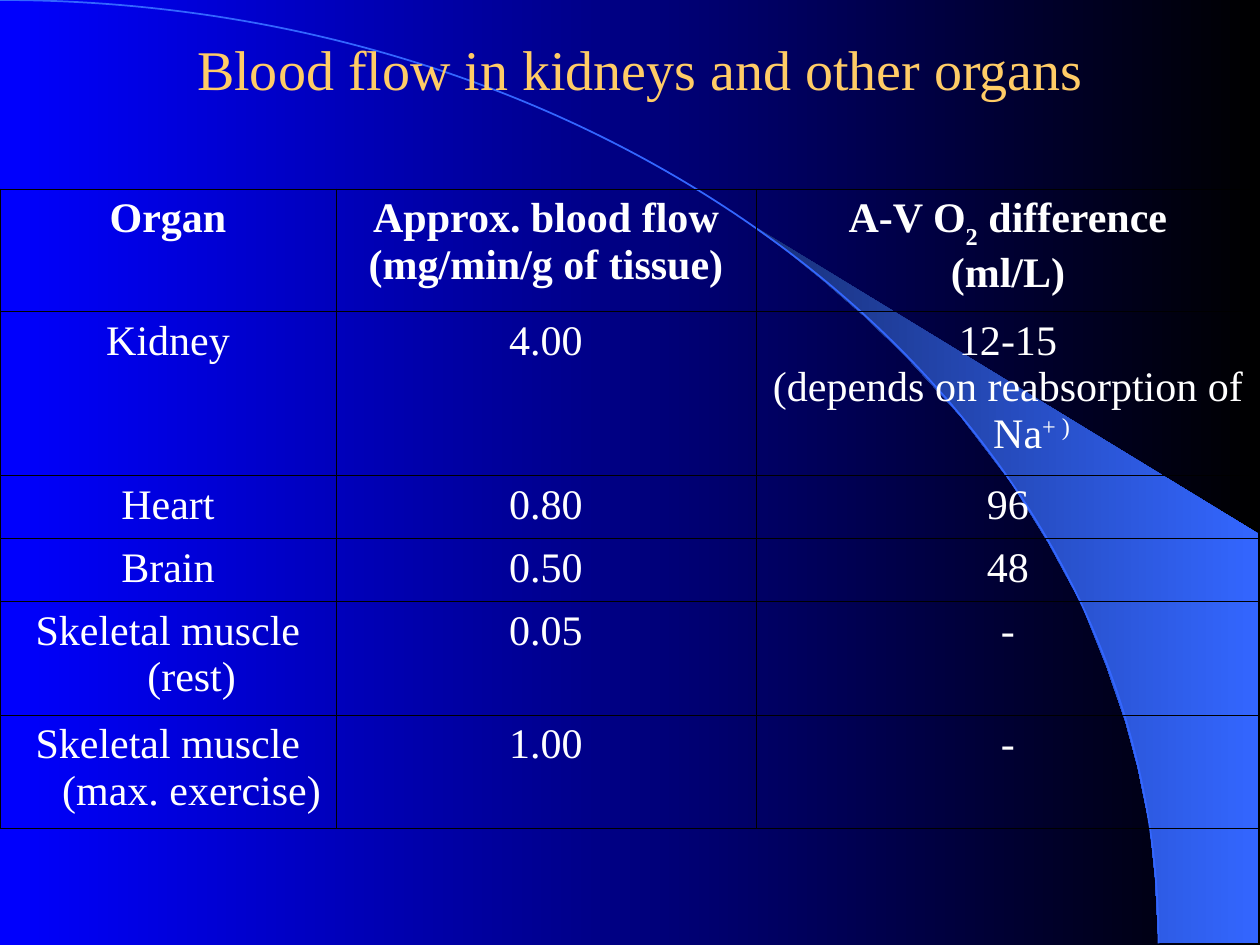
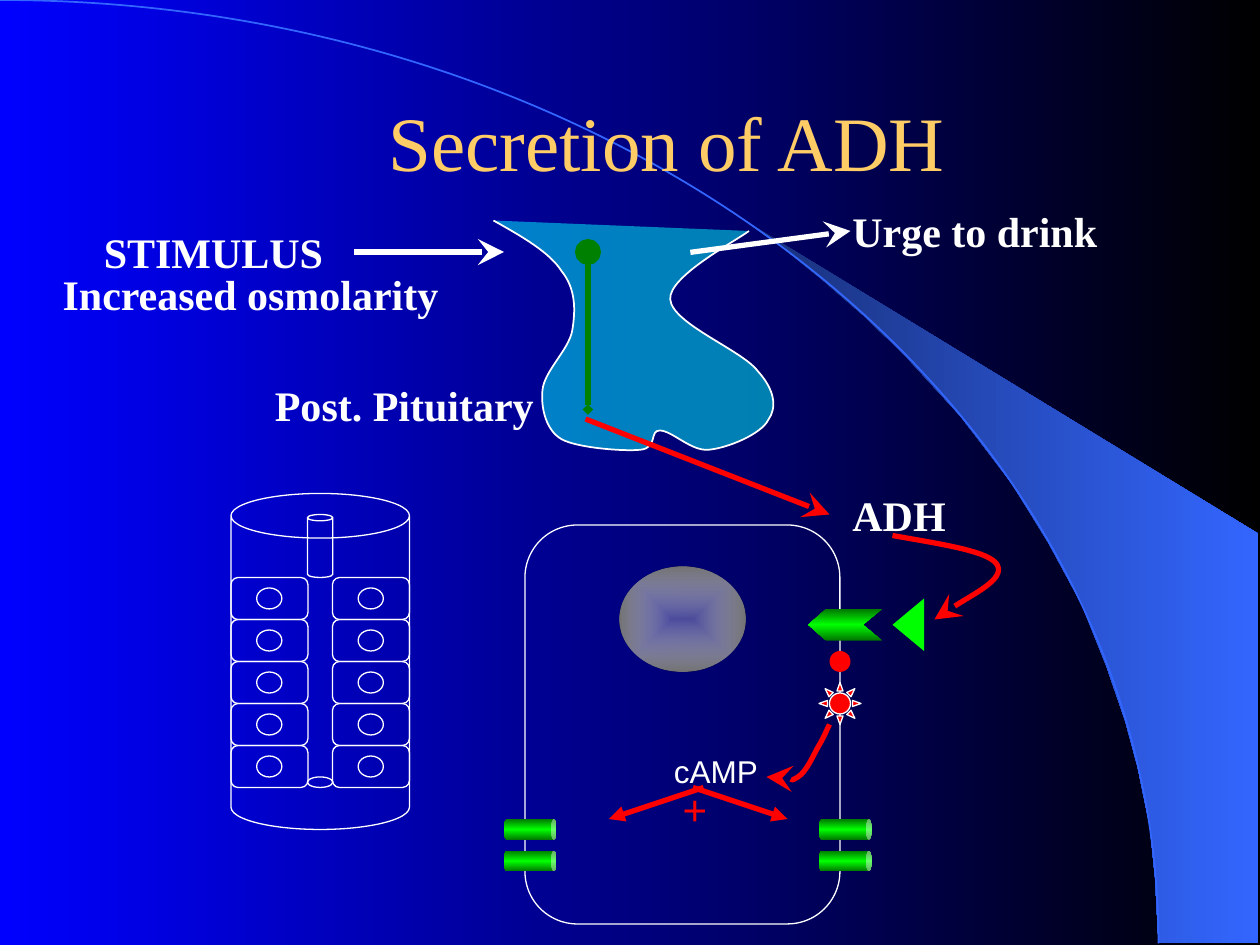
from lxml.etree import SubElement
from pptx import Presentation
from pptx.dml.color import RGBColor
from pptx.enum.shapes import MSO_CONNECTOR, MSO_SHAPE
from pptx.enum.text import MSO_ANCHOR, MSO_AUTO_SIZE, PP_ALIGN
from pptx.oxml.ns import qn
from pptx.util import Pt

COLORS = {
    "blue": "0000FF", "black": "000000", "white": "FFFFFF", "title": "FFCC66",
    "swoosh_dark": "182F76", "swoosh": "3366FF", "cyan": "00FFFF",
    "red": "FF0000", "nerve": "008000", "green": "00FF00", "dark_green": "007600",
    "nucleus_core": "F8F8F8", "nucleus_rim": "737373",
}
SERIF, SANS = "Times New Roman", "Arial"

# Shared decoration: one wedge outline and one arc (start, then Bézier triples)
WEDGE = [(662, 539), (719, 539), (719, 305), (424, 125), (449, 143), (470, 160),
         (493, 180), (516, 202), (549, 238), (578, 276), (599, 310), (618, 345),
         (632, 380), (643, 412), (650, 438), (657, 472), (660, 501)]
ARC = [(0, 0), (366, 0), (662, 241), (662, 539)]

# Slide 1: each cell is a list of paragraphs, each paragraph a list of
# (text, baseline) runs or one plain string
FLOW_TITLE = "Blood flow in kidneys and other organs"
FLOW_COLUMNS = [192, 240, 288]
FLOW_ROW_HEIGHTS = [70, 93.75, 36, 36, 65, 64.75]
FLOW_ROWS = [
    [["Organ"], ["Approx. blood flow", "(mg/min/g of tissue)"],
     [[("A-V O", 0), ("2", -30), (" difference", 0)], "(ml/L)"]],
    [["Kidney"], ["4.00"],
     ["12-15", [("(depends on reabsorption of Na", 0), ("+ )", 30)]]],
    [["Heart"], ["0.80"], ["96"]],
    [["Brain"], ["0.50"], ["48"]],
    [["Skeletal muscle (rest)"], ["0.05"], ["-"]],
    [["Skeletal muscle (max. exercise)"], ["1.00"], ["-"]],
]

# Slide 2: text, box, size, font, colour, bold, alignment
ADH_TITLE = "Secretion of ADH"
LABELS = [
    ("Increased osmolarity", (28.2, 150, 230, 36), 24, SERIF, "white", True, PP_ALIGN.CENTER),
    ("ADH", (480, 276, 70, 36), 24, SERIF, "white", True, PP_ALIGN.LEFT),
    ("Post. Pituitary", (150, 213.25, 166, 36), 24, SERIF, "white", True, PP_ALIGN.LEFT),
    ("Urge to drink", (480, 114, 158, 36), 24, SERIF, "white", True, PP_ALIGN.LEFT),
    ("STIMULUS", (52.2, 126, 142, 36), 24, SERIF, "white", True, PP_ALIGN.LEFT),
    ("cAMP", (378, 426, 66, 29), 18, SANS, "white", False, PP_ALIGN.LEFT),
    ("+", (383, 444, 30, 36), 24, SANS, "red", False, PP_ALIGN.LEFT),
]
# Arrowhead kinds: type and size
LARGE_STEALTH, TRIANGLE = ("stealth", "lg"), ("triangle", "med")
LARGE_OVAL, SMALL_DIAMOND = ("oval", "lg"), ("diamond", "sm")
# from, to, colour, head, tail, cap
LINES = [
    ((204, 144), (288, 144), "white", None, LARGE_STEALTH, "sq"),
    ((336, 240), (474, 294), "red", None, LARGE_STEALTH, "sq"),
    ((396, 144), (486, 132), "white", None, LARGE_STEALTH, "sq"),
    ((336, 144), (336, 234), "nerve", LARGE_OVAL, SMALL_DIAMOND, "flat"),
    ((402, 450), (348, 468), "red", None, TRIANGLE, "flat"),
    ((396, 450), (450, 468), "red", None, TRIANGLE, "flat"),
]
PITUITARY = [
    (282, 126), (298, 135), (314, 144), (321, 155), (329, 165), (329, 177), (327, 189),
    (325, 200), (311, 212), (310, 223), (309, 233), (312, 246), (321, 251),
    (330, 256), (357, 258), (366, 257), (376, 256), (371, 246), (377, 246),
    (384, 246), (395, 258), (405, 257), (416, 256), (435, 248), (439, 240),
    (444, 233), (443, 223), (433, 212), (424, 200), (384, 185), (383, 171),
    (382, 158), (420, 138), (428, 132)]
CURVED_ARROWS = [
    [(510, 306), (538, 311), (566, 315), (570, 323), (574, 331), (540, 349), (534, 354)],
    [(474, 414), (472, 418), (471, 421), (468, 426), (465, 431), (461, 441), (456, 444),
     (451, 447), (441, 444), (438, 444)],
]
RECEPTOR = [(504, 366), (472, 366), (462, 357), (472, 348), (504, 348), (493, 357)]
TUBE = [(0, "dark_green", 100), (50, "green", 100), (100, "dark_green", 100)]


def rgb(name):
    return RGBColor.from_string(COLORS[name])


def points(values):
    return [Pt(value) for value in values]


def finish(shape, fill=None, line=None, width=0.75):
    shape.shadow.inherit = False
    if fill:
        shape.fill.solid()
        shape.fill.fore_color.rgb = rgb(fill)
    else:
        shape.fill.background()
    if line:
        shape.line.color.rgb = rgb(line)
        shape.line.width = Pt(width)
    else:
        shape.line.fill.background()
    return shape


def add_preset(shapes, kind, box, fill=None, line=None, rotation=0):
    shape = finish(shapes.add_shape(kind, *points(box)), fill, line)
    shape.rotation = rotation
    return shape


def add_outline(slide, vertices, closed, **style):
    start, *others = [tuple(points(vertex)) for vertex in vertices]
    builder = slide.shapes.build_freeform(*start, scale=1.0)
    builder.add_line_segments(others, close=closed)
    return finish(builder.convert_to_shape(), **style)


def add_curve(slide, controls, **style):
    """Open outline whose vertices after the first are Bézier triples."""
    shape = add_outline(slide, controls, False, **style)
    outline = next(shape.element.iter(qn("a:path")))
    segments = outline.findall(qn("a:lnTo"))
    for first in range(0, len(segments), 3):
        curve = SubElement(outline, qn("a:cubicBezTo"))
        for segment in segments[first:first + 3]:
            curve.append(segment[0])
            outline.remove(segment)
    return shape


def set_gradient(shape, stops, angle=None):
    """Linear gradient at an angle, or one running out from the centre."""
    properties = shape.element.spPr
    gradient = SubElement(properties, qn("a:gradFill"), rotWithShape="1")
    properties.replace(properties.find(qn("a:noFill")), gradient)
    stop_list = SubElement(gradient, qn("a:gsLst"))
    for position, color, opacity in stops:
        stop = SubElement(stop_list, qn("a:gs"), pos=str(position * 1000))
        value = SubElement(stop, qn("a:srgbClr"), val=COLORS[color])
        if opacity < 100:
            SubElement(value, qn("a:alpha"), val=str(opacity * 1000))
    if angle is None:
        center = SubElement(gradient, qn("a:path"), path="rect")
        SubElement(center, qn("a:fillToRect"), l="50000", t="50000", r="50000", b="50000")
    else:
        SubElement(gradient, qn("a:lin"), ang=str(angle * 60000), scaled="0")


def set_line_ends(shape, head, tail, cap="flat"):
    line = shape.element.spPr.find(qn("a:ln"))
    line.set("cap", cap)
    for tag, end in (("a:headEnd", head), ("a:tailEnd", tail)):
        if end:
            kind, size = end
            SubElement(line, qn(tag), type=kind, w=size, len=size)


def add_run(paragraph, text, size, font, color, bold=False):
    run = paragraph.add_run()
    run.text = text
    run.font.size = Pt(size)
    run.font.name = font
    run.font.bold = bold
    run.font.color.rgb = rgb(color)
    return run


def add_label(slide, text, box, size, font, color, bold, alignment):
    frame = slide.shapes.add_textbox(*points(box)).text_frame
    frame.word_wrap = False
    frame.auto_size = MSO_AUTO_SIZE.NONE
    frame.paragraphs[0].alignment = alignment
    add_run(frame.paragraphs[0], text, size, font, color, bold)


def add_titled_slide(presentation, title, box, size):
    slide = presentation.slides.add_slide(presentation.slide_layouts[5])
    shape = slide.shapes.title
    shape.left, shape.top, shape.width, shape.height = points(box)
    frame = shape.text_frame
    frame.auto_size = MSO_AUTO_SIZE.NONE
    frame.vertical_anchor = MSO_ANCHOR.MIDDLE
    frame.paragraphs[0].alignment = PP_ALIGN.CENTER
    add_run(frame.paragraphs[0], title, size, SERIF, "title")
    return slide


def decorate_master(presentation, slide):
    """Set the background and move the swoosh from the slide to the master."""
    master = presentation.slide_master
    fill = master.background.fill
    fill.gradient()
    fill.gradient_angle = 0
    for stop, color in zip(fill.gradient_stops, ("blue", "black")):
        stop.color.rgb = rgb(color)
    wedge = add_outline(slide, WEDGE, True)
    set_gradient(wedge, [(0, "swoosh_dark", 100), (100, "swoosh", 100)], 0)
    arc = add_curve(slide, ARC, line="swoosh", width=1)
    for index, shape in enumerate((wedge, arc)):
        master.shapes.element.insert(2 + index, shape.element)


def fill_cell(cell, paragraphs, bold):
    properties = cell._tc.get_or_add_tcPr()
    for side in ("a:lnL", "a:lnR", "a:lnT", "a:lnB"):
        border = SubElement(properties, qn(side), w=str(Pt(0.45)))
        SubElement(SubElement(border, qn("a:solidFill")), qn("a:srgbClr"), val=COLORS["black"])
    cell.fill.background()
    for index, content in enumerate(paragraphs):
        frame = cell.text_frame
        paragraph = frame.add_paragraph() if index else frame.paragraphs[0]
        paragraph.alignment = PP_ALIGN.CENTER
        indents = paragraph._p.get_or_add_pPr()
        indents.set("marL", str(Pt(27)))
        indents.set("indent", str(-Pt(27)))
        for text, baseline in [(content, 0)] if isinstance(content, str) else content:
            run = add_run(paragraph, text, 24, SERIF, "white", bold)
            if baseline:
                run.font._element.set("baseline", str(baseline * 1000))


def add_flow_table(slide):
    box = (0, 108, sum(FLOW_COLUMNS), sum(FLOW_ROW_HEIGHTS))
    table = slide.shapes.add_table(len(FLOW_ROWS), len(FLOW_COLUMNS), *points(box)).table
    table.first_row = table.horz_banding = False
    for column, width in zip(table.columns, FLOW_COLUMNS):
        column.width = Pt(width)
    for row_index, row in enumerate(FLOW_ROWS):
        table.rows[row_index].height = Pt(FLOW_ROW_HEIGHTS[row_index])
        for column_index, paragraphs in enumerate(row):
            fill_cell(table.cell(row_index, column_index), paragraphs, row_index == 0)


def draw_collecting_duct(slide):
    shapes = slide.shapes.add_group_shape().shapes
    for left in (190, 132):
        for top in range(330, 450, 24):
            add_preset(shapes, MSO_SHAPE.ROUNDED_RECTANGLE, (left, top, 44, 24), line="white")
            add_preset(shapes, MSO_SHAPE.OVAL, (left + 14.7, top + 6, 14.4, 12), line="white")
    add_preset(shapes, MSO_SHAPE.CAN, (132, 282, 102, 192), line="white")
    add_preset(shapes, MSO_SHAPE.CAN, (175.7, 294, 14.5, 36), line="white")
    add_preset(shapes, MSO_SHAPE.OVAL, (175.7, 444, 14.5, 6), line="white")


def draw_target_cell(slide):
    shapes = slide.shapes
    add_preset(shapes, MSO_SHAPE.ROUNDED_RECTANGLE, (300, 300, 180, 228), line="white")
    nucleus = add_preset(shapes, MSO_SHAPE.OVAL, (354, 324, 72, 60))
    set_gradient(nucleus, [(0, "nucleus_core", 30), (100, "nucleus_rim", 100)])
    # Hormone, receptor and messengers
    add_preset(shapes, MSO_SHAPE.ISOSCELES_TRIANGLE, (504, 348, 30, 18), "green", rotation=270)
    set_gradient(add_outline(slide, RECEPTOR, True), TUBE, 90)
    add_preset(shapes, MSO_SHAPE.OVAL, (474, 372, 12, 12), "red")
    add_preset(shapes, MSO_SHAPE.SUN, (468, 390, 24, 24), "red", "white")
    # Water channels on both walls
    for left in (297, 477):
        for top in (459, 477):
            channel = add_preset(shapes, MSO_SHAPE.CAN, (left, top, 12, 30), rotation=90)
            set_gradient(channel, TUBE, 0)


def draw_pathway(slide):
    pituitary = add_curve(slide, PITUITARY, fill="cyan", line="white", width=1)
    color = pituitary.element.spPr.find(qn("a:solidFill"))[0]
    SubElement(color, qn("a:alpha"), val="50000")
    for start, end, color, head, tail, cap in LINES:
        line = slide.shapes.add_connector(MSO_CONNECTOR.STRAIGHT, *points(start + end))
        line.line.color.rgb = rgb(color)
        line.line.width = Pt(3)
        set_line_ends(line, head, tail, cap)
        SubElement(line.element.spPr, qn("a:effectLst"))
    for controls in CURVED_ARROWS:
        arrow = add_curve(slide, controls, line="red", width=3)
        set_line_ends(arrow, None, LARGE_STEALTH)


def main():
    presentation = Presentation()
    presentation.slide_width, presentation.slide_height = Pt(720), Pt(540)

    flow_slide = add_titled_slide(presentation, FLOW_TITLE, (60, 18, 612, 42), 32)
    decorate_master(presentation, flow_slide)
    add_flow_table(flow_slide)

    adh_slide = add_titled_slide(presentation, ADH_TITLE, (84, 24, 594, 113), 44)
    draw_collecting_duct(adh_slide)
    draw_target_cell(adh_slide)
    draw_pathway(adh_slide)
    for label in LABELS:
        add_label(adh_slide, *label)

    presentation.save("out.pptx")


if __name__ == "__main__":
    main()
